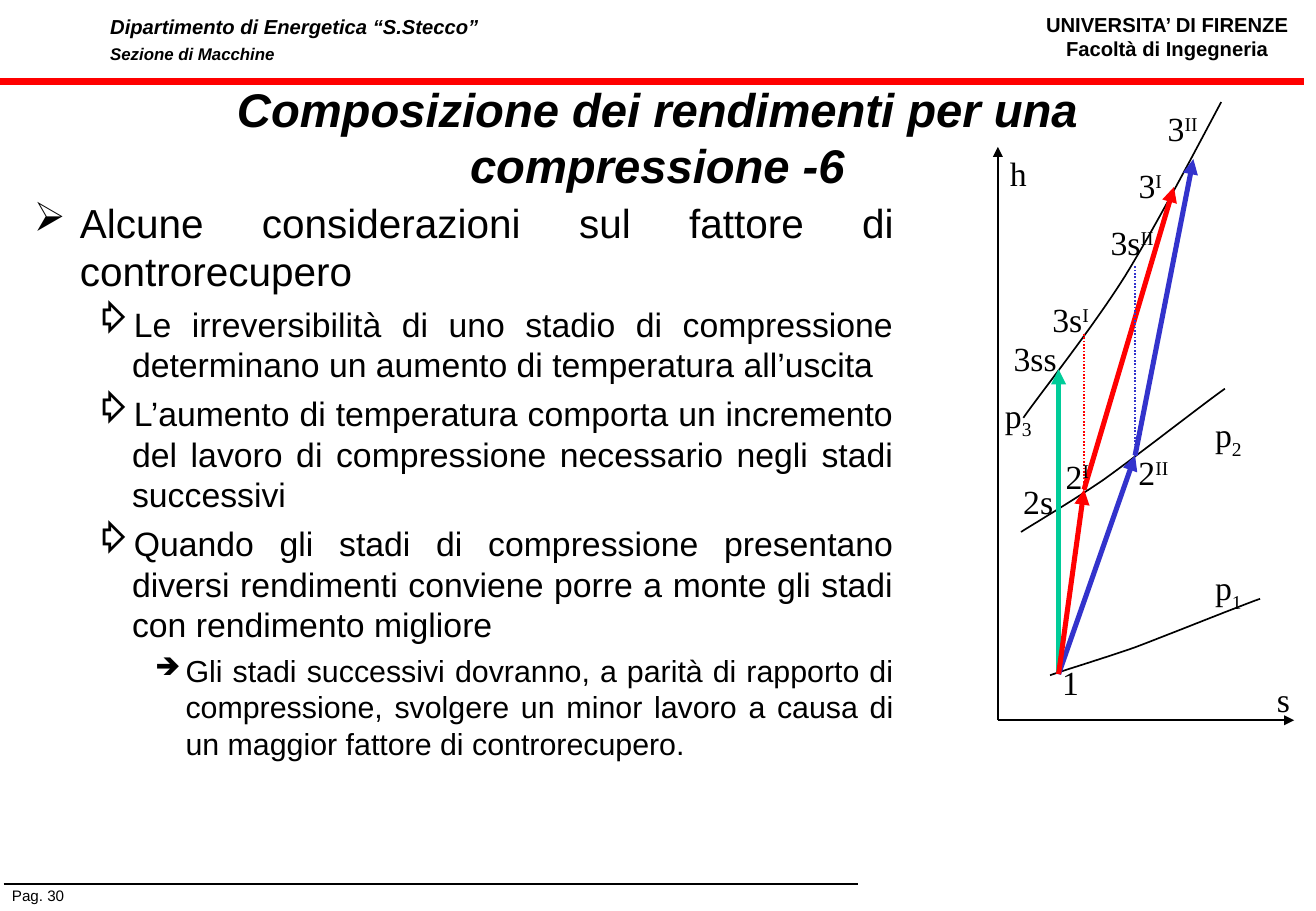
from lxml import etree
from pptx import Presentation
from pptx.dml.color import RGBColor
from pptx.enum.dml import MSO_LINE
from pptx.enum.shapes import MSO_CONNECTOR
from pptx.enum.text import MSO_ANCHOR, MSO_AUTO_SIZE, PP_ALIGN
from pptx.oxml.ns import qn
from pptx.util import Inches, Pt

STRAIGHT = MSO_CONNECTOR.STRAIGHT
DOTTED = MSO_LINE.ROUND_DOT
GROW = MSO_AUTO_SIZE.SHAPE_TO_FIT_TEXT
MIDDLE = MSO_ANCHOR.MIDDLE
LEFT, CENTER, JUSTIFY = PP_ALIGN.LEFT, PP_ALIGN.CENTER, PP_ALIGN.JUSTIFY

COLORS = {
    "black": "000000",
    "rule": "FF0000",
    "red": "FF0101",
    "blue": "3333CC",
    "green": "00CC99",
}
SANS, SERIF, SYMBOLS = "Arial", "Times New Roman", "OpenSymbol"
SUPERSCRIPT, SUBSCRIPT = "30000", "-25000"
LABEL_SLACK = 0.1

# left margin, hanging indent, space before, bullet, bullet percent, text size
LEVELS = [
    (0.38, 0.38, 6, "➢", 100, 24),
    (0.81, 0.31, 5, "⇨", 100, 20),
    (1.25, 0.25, 4.5, "➔", 80, 18),
]

CONSIDERATIONS = [
    (0, "Alcune considerazioni sul fattore di controrecupero"),
    (1, "Le irreversibilità di uno stadio di compressione determinano un "
        "aumento di temperatura all’uscita"),
    (1, "L’aumento di temperatura comporta un incremento del lavoro di "
        "compressione necessario negli stadi successivi"),
    (1, "Quando gli stadi di compressione presentano diversi rendimenti "
        "conviene porre a monte gli stadi con rendimento migliore"),
    (2, "Gli stadi successivi dovranno, a parità di rapporto di compressione, "
        "svolgere un minor lavoro a causa di un maggior fattore di "
        "controrecupero."),
]

# Bézier points of each isobar: start, then three points per segment
ISOBARS = [
    [(8.65, 5.56), (8.76, 5.52), (9.06, 5.43), (9.35, 5.33),
     (9.64, 5.22), (10.16, 5.01), (10.38, 4.93)],
    [(8.41, 4.38), (8.52, 4.31), (8.81, 4.14), (9.09, 3.95),
     (9.37, 3.75), (9.88, 3.35), (10.09, 3.2)],
    [(8.43, 3.44), (8.57, 3.24), (9, 2.7), (9.27, 2.27),
     (9.54, 1.83), (9.9, 1.14), (10.06, 0.84)],
]

ORIGIN = (8.22, 5.93)
INLET = (8.72, 5.55)
STAGE_RED, STAGE_BLUE = (8.93, 4.03), (9.35, 3.75)
COMPRESSIONS = [
    (INLET, (8.72, 3.04), "green"),
    (STAGE_BLUE, (9.83, 1.31), "blue"),
    (INLET, STAGE_BLUE, "blue"),
    (INLET, STAGE_RED, "red"),
    (STAGE_RED, (9.67, 1.54), "red"),
]
ISENTROPICS = [
    (STAGE_BLUE, (9.35, 2.18), "blue"),
    (STAGE_RED, (8.93, 2.75), "red"),
]

# left, top, width, text, raised or lowered text, its baseline
LABELS = [
    (10.42, 5.54, 0.31, "s", "", None),
    (8.22, 1.21, 0.34, "h", "", None),
    (8.65, 5.4, 0.34, "1", "", None),
    (8.33, 3.91, 0.45, "2s", "", None),
    (8.25, 2.73, 0.55, "3ss", "", None),
    (8.18, 3.2, 0.42, "p", "3", SUBSCRIPT),
    (9.91, 3.36, 0.42, "p", "2", SUBSCRIPT),
    (9.91, 4.62, 0.42, "p", "1", SUBSCRIPT),
    (9.28, 3.67, 0.44, "2", "II", SUPERSCRIPT),
    (9.52, 0.84, 0.44, "3", "II", SUPERSCRIPT),
    (9.05, 1.78, 0.55, "3s", "II", SUPERSCRIPT),
    (8.68, 3.7, 0.39, "2", "I", SUPERSCRIPT),
    (9.28, 1.31, 0.39, "3", "I", SUPERSCRIPT),
    (8.57, 2.41, 0.5, "3s", "I", SUPERSCRIPT),
]


def bezier_points(points, steps=16):
    """Sample a chain of cubic Bézier segments, start point included."""
    samples = [points[0]]
    for first in range(0, len(points) - 1, 3):
        segment = points[first:first + 4]
        for step in range(1, steps + 1):
            t = step / steps
            weights = ((1 - t) ** 3, 3 * t * (1 - t) ** 2,
                       3 * t ** 2 * (1 - t), t ** 3)
            samples.append(tuple(
                sum(weight * point[axis]
                    for weight, point in zip(weights, segment))
                for axis in (0, 1)))
    return samples


class SlideBuilder:
    """Holds the colours and the slide being drawn."""

    def __init__(self, slide, colors):
        self.slide = slide
        self.colors = colors

    def color(self, name):
        return RGBColor.from_string(self.colors[name])

    def box(self, left, top, width, height, wrap=True, grow=True):
        box = self.slide.shapes.add_textbox(
            Inches(left), Inches(top), Inches(width), Inches(height))
        frame = box.text_frame
        frame.word_wrap = wrap
        if grow:
            frame.auto_size = GROW
        return frame

    def style(self, para, size, face=SANS, bold=False, italic=False):
        font = para.font
        font.name, font.size = face, Pt(size)
        font.bold, font.italic = bold, italic
        font.color.rgb = self.color("black")

    def text(self, frame, lines, align=LEFT, spacing=None, **look):
        """Fill a frame with (text, size) lines."""
        for index, (words, size) in enumerate(lines):
            para = frame.add_paragraph() if index else frame.paragraphs[0]
            para.text = words
            para.alignment = align
            if spacing:
                para.line_spacing = Pt(spacing)
            self.style(para, size, **look)

    def bullets(self, frame, items):
        for index, (level, words) in enumerate(items):
            margin, hang, before, mark, percent, size = LEVELS[level]
            para = frame.add_paragraph() if index else frame.paragraphs[0]
            para.text = words
            para.level = level
            para.alignment = JUSTIFY
            if index:
                para.space_before = Pt(before)
            properties = para._p.get_or_add_pPr()
            properties.set("marL", str(Inches(margin)))
            properties.set("indent", str(-Inches(hang)))
            tint = etree.SubElement(properties, qn("a:buClr"))
            etree.SubElement(tint, qn("a:srgbClr"), val=self.colors["black"])
            etree.SubElement(properties, qn("a:buSzPct"), val=str(percent * 1000))
            etree.SubElement(properties, qn("a:buFont"), typeface=SYMBOLS)
            etree.SubElement(properties, qn("a:buChar"), char=mark)
            self.style(para, size)

    def label(self, left, top, width, words, script, baseline):
        para = self.box(left, top, width + LABEL_SLACK, 0.44).paragraphs[0]
        para.add_run().text = words
        if script:
            span = para.add_run()
            span.text = script
            span._r.get_or_add_rPr().set("baseline", baseline)
        self.style(para, 20, SERIF)

    def line(self, start, end, color="black", width=1, arrow=False, dash=None):
        line = self.slide.shapes.add_connector(
            STRAIGHT, *(Inches(length) for length in (*start, *end)))
        line.line.color.rgb = self.color(color)
        line.line.width = Pt(width)
        if dash:
            line.line.dash_style = dash
        if arrow:
            outline = line.line._get_or_add_ln()
            etree.SubElement(outline, qn("a:tailEnd"), type="triangle")
        etree.SubElement(line._element.spPr, qn("a:effectLst"))

    def curve(self, points):
        start, *rest = [(Inches(x), Inches(y)) for x, y in bezier_points(points)]
        builder = self.slide.shapes.build_freeform(*start)
        builder.add_line_segments(rest, close=False)
        curve = builder.convert_to_shape()
        curve.shadow.inherit = False
        curve.fill.background()
        curve.line.color.rgb = self.color("black")
        curve.line.width = Pt(1)


def main():
    deck = Presentation()
    deck.slide_width, deck.slide_height = Inches(10.84), Inches(7.5)
    page = SlideBuilder(deck.slides.add_slide(deck.slide_layouts[6]), COLORS)

    page.text(page.box(8.5, 0.05, 2.23, 0.5, wrap=False),
              [("UNIVERSITA’ DI FIRENZE", 12), ("Facoltà di Ingegneria", 12)],
              align=CENTER, bold=True)
    page.text(page.box(0, 7.25, 1.17, 0.25), [("Pag. 30", 9)])
    page.text(page.box(0.81, 0.06, 3.66, 0.51),
              [("Dipartimento di Energetica “S.Stecco”", 12),
               ("Sezione di Macchine", 10)],
              spacing=15, bold=True, italic=True)
    page.line((0, 0.67), (10.74, 0.67), "rule", 4.5)
    page.line((0.03, 7.28), (7.07, 7.28))

    title = page.box(0.81, 0.75, 9.21, 0.75, grow=False)
    title.vertical_anchor = MIDDLE
    page.text(title,
              [("Composizione dei rendimenti per una compressione -6", 28)],
              align=CENTER, bold=True, italic=True)
    page.bullets(page.box(0.18, 1.58, 7.28, 5.67, grow=False), CONSIDERATIONS)

    for axis_end in ((8.22, 1.21), (10.66, 5.93)):
        page.line(ORIGIN, axis_end, arrow=True)
    for isobar in ISOBARS:
        page.curve(isobar)
    for start, end, color in COMPRESSIONS:
        page.line(start, end, color, 3, arrow=True)
    for start, end, color in ISENTROPICS:
        page.line(start, end, color, dash=DOTTED)
    for label in LABELS:
        page.label(*label)

    deck.save("out.pptx")


if __name__ == "__main__":
    main()
